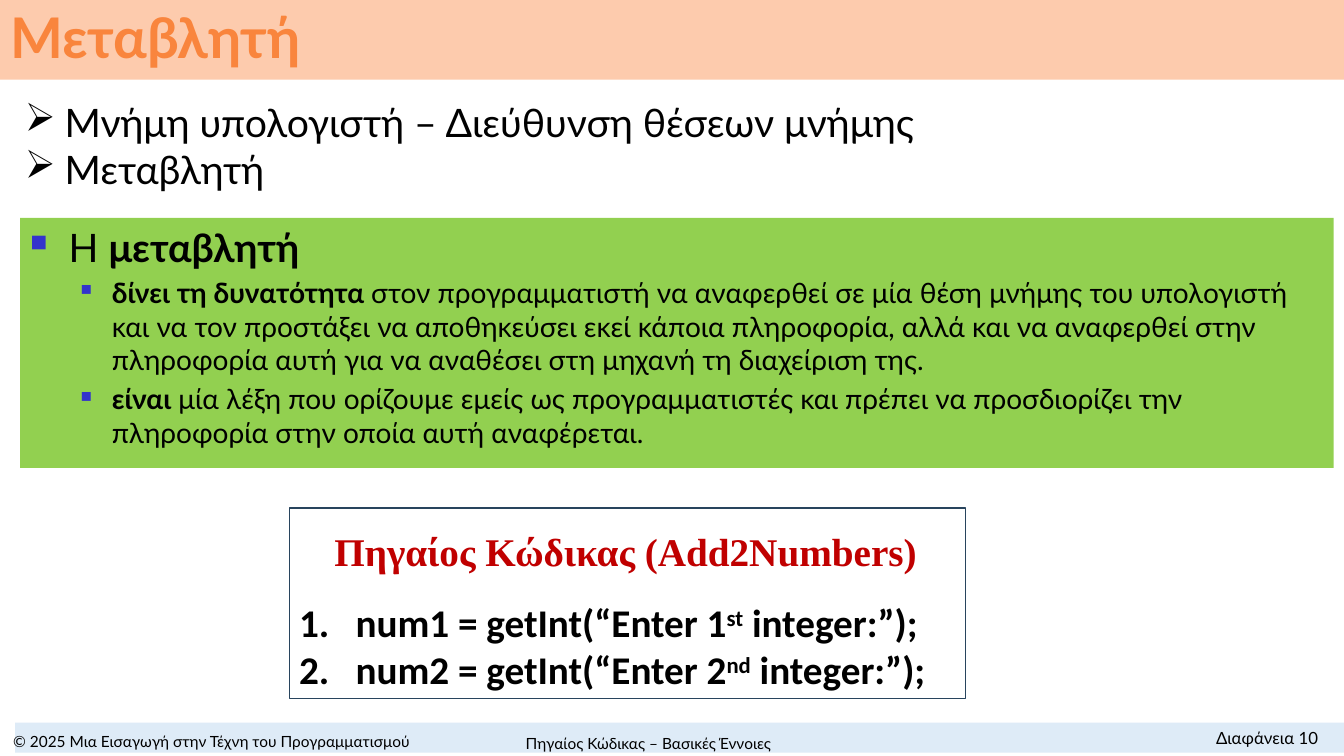
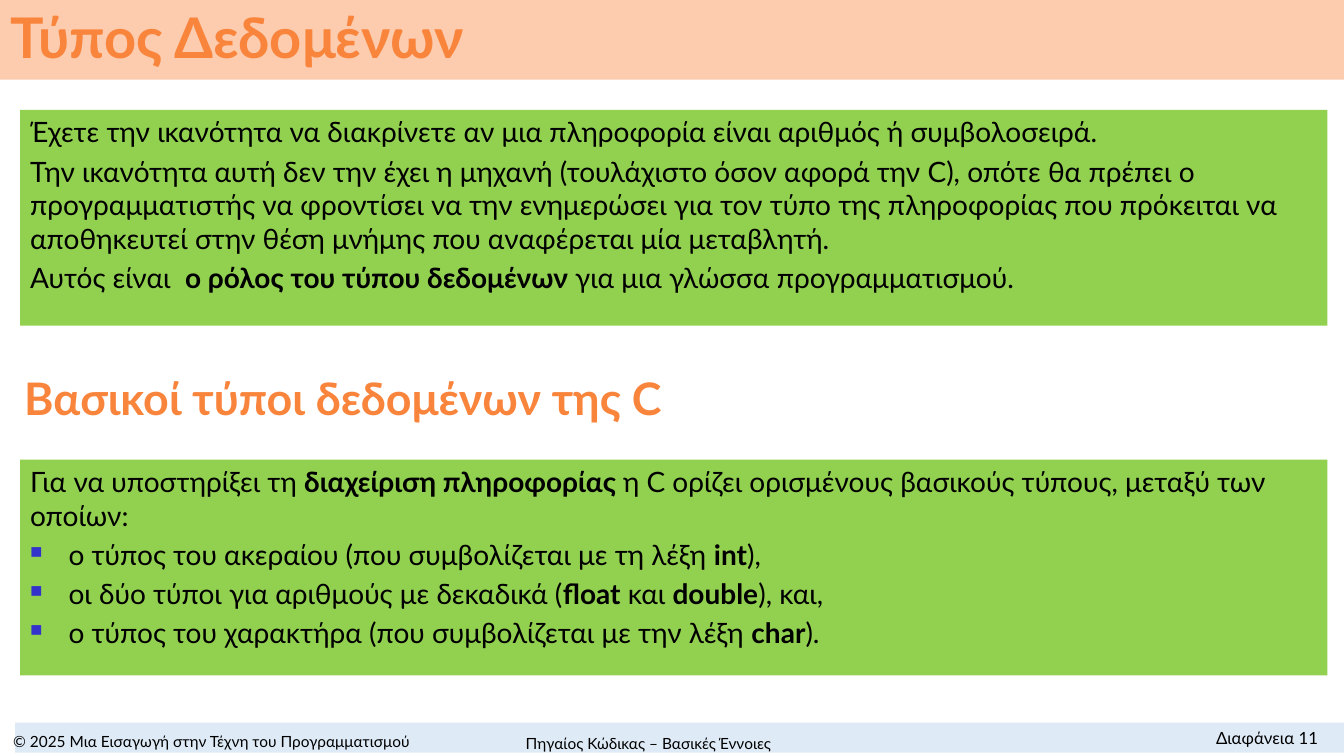
from dataclasses import dataclass

from lxml.etree import SubElement
from pptx import Presentation
from pptx.dml.color import RGBColor
from pptx.enum.shapes import MSO_SHAPE
from pptx.enum.text import MSO_ANCHOR, PP_ALIGN
from pptx.oxml.ns import qn
from pptx.util import Cm, Pt


@dataclass(frozen=True)
class Theme:
    """Colours, fonts and type sizes of the deck."""
    ink: str = "000000"
    orange: str = "F9853D"
    peach: str = "FDCBAD"
    green: str = "92D050"
    pale: str = "DEEBF7"
    white: str = "FFFFFF"
    navy: str = "28445D"
    red: str = "C00000"
    blue: str = "3333CC"
    sans: str = "Lato"
    serif: str = "Times New Roman"
    code: str = "Calibri"
    title: int = 40
    head: int = 32
    large: int = 28
    body: int = 20
    page: int = 12
    small: int = 11


@dataclass(frozen=True)
class Mark:
    """A list marker with its indents in centimetres."""
    sign: str = ""
    left: float = 0.97
    hang: float = 0.97
    scale: int = 100
    color: str = ""
    level: int = 0


T = Theme()
ARROW = Mark("➢", 1, 1)
SQUARE = Mark("■", scale=60, color=T.blue)
SUB = Mark("■", 2.06, 0.79, 55, T.blue, 1)
NUMBER = Mark("", 1.42, 1.42)
BOLD, RAISED = "bold", "raised"


def put(item, values):
    """Set each attribute in a dict of format values."""
    for name, value in values.items():
        setattr(item, name, value)


def bullet(par, mark):
    """Give a paragraph a list marker and hanging indent."""
    par.level = mark.level
    props = par._p.get_or_add_pPr()
    props.set("marL", str(Cm(mark.left)))
    props.set("indent", str(-Cm(mark.hang)))
    if mark.color:
        SubElement(SubElement(props, qn("a:buClr")), qn("a:srgbClr"), val=mark.color)
    if mark.scale != 100:
        SubElement(props, qn("a:buSzPct"), val=str(mark.scale * 1000))
    if mark.sign:
        SubElement(props, qn("a:buChar"), char=mark.sign)
    else:
        SubElement(props, qn("a:buAutoNum"), type="arabicPeriod")


def write(shape, lines, size=T.body, font=T.sans, color=T.ink, bold=None,
          accent=BOLD, gap=0, anchor=MSO_ANCHOR.TOP, align=PP_ALIGN.LEFT, pitch=None):
    """Fill a shape with (text, mark, size) lines; bars enclose accents."""
    frame = shape.text_frame
    put(frame, {"word_wrap": True, "vertical_anchor": anchor})
    for row, (text, mark, own) in enumerate(lines):
        par = frame.add_paragraph() if row else frame.paragraphs[0]
        if mark:
            bullet(par, mark)
        put(par, {"alignment": align, "line_spacing": pitch,
                  "space_before": Pt(gap if row else 0)})
        for part, piece in enumerate(text.split("|")):
            if not piece:
                continue
            run, odd = par.add_run(), part % 2 == 1
            run.text = piece
            put(run.font, {"size": Pt(own or size), "name": font,
                           "bold": True if odd and accent == BOLD else bold})
            run.font.color.rgb = RGBColor.from_string(color)
            if odd and accent == RAISED:
                run._r.get_or_add_rPr().set("baseline", "30000")


def line(text, mark=None, size=None):
    """Describe one paragraph."""
    return text, mark, size


def paint(shape, fill):
    """Fill a shape with a solid colour."""
    shape.fill.solid()
    shape.fill.fore_color.rgb = RGBColor.from_string(fill)


def panel(shapes, place, fill, edge=None):
    """Add a flat rectangle."""
    shape = shapes.add_shape(MSO_SHAPE.RECTANGLE, *map(Cm, place))
    shape.shadow.inherit = False
    paint(shape, fill)
    if edge:
        shape.line.color.rgb = RGBColor.from_string(edge)
        shape.line.width = Pt(1)
    else:
        shape.line.fill.background()
    return shape


def label(shapes, place, lines, **look):
    """Add a text box."""
    write(shapes.add_textbox(*map(Cm, place)), lines, **look)


def card(slide, top, width, height, lines):
    """Add a green panel of body text."""
    shape = panel(slide.shapes, (0.51, top, width, height), T.green)
    write(shape, lines, gap=4)


def start(deck, title, page):
    """Add a slide with the shared title band and footer."""
    slide = deck.slides.add_slide(deck.slide_layouts[5])
    head = slide.shapes.title
    put(head, dict(zip(("left", "top", "width", "height"),
                       map(Cm, (0, 0, 33.87, 2.01)))))
    paint(head, T.peach)
    write(head, [line(title)], T.title, color=T.orange, bold=True,
          anchor=MSO_ANCHOR.MIDDLE, pitch=0.9)
    panel(slide.shapes, (0.38, 18.21, 33.49, 0.76), T.pale)
    notes = (
        ((0, 18.34, 10.67, 0.66), "© 2025 Μια Εισαγωγή στην Τέχνη του Προγραμματισμού",
         T.small, PP_ALIGN.CENTER),
        ((28.24, 18.21, 5.23, 0.76), f"Διαφάνεια {page}", T.page, PP_ALIGN.RIGHT),
        ((11.53, 18.37, 9.63, 0.71), "Πηγαίος Κώδικας – Βασικές Έννοιες",
         T.small, PP_ALIGN.CENTER),
    )
    for place, text, size, align in notes:
        label(slide.shapes, place, [line(text)], size=size, align=align,
              anchor=MSO_ANCHOR.MIDDLE)
    return slide


def listing(slide):
    """Add the framed source code."""
    group = slide.shapes.add_group_shape().shapes
    panel(group, (7.29, 12.8, 17.04, 4.8), T.white, T.navy)
    label(group, (6.81, 13.16, 17.91, 1.45), [line("Πηγαίος Κώδικας (Add2Numbers)")],
          size=T.large, font=T.serif, color=T.red, bold=True, align=PP_ALIGN.CENTER)
    label(group, (7.29, 14.96, 17.04, 2.64), [
        line("num1 = getInt(“Enter 1|st| integer:”);", NUMBER),
        line("num2 = getInt(“Enter 2|nd| integer:”);", NUMBER),
    ], size=T.large, font=T.code, bold=True, accent=RAISED)


def main():
    """Build and save the deck."""
    deck = Presentation()
    put(deck, {"slide_width": Cm(33.87), "slide_height": Cm(19.05)})

    slide = start(deck, "Μεταβλητή", 10)
    label(slide.shapes, (0.38, 2.36, 33.1, 2.64), [
        line("Μνήμη υπολογιστή – Διεύθυνση θέσεων μνήμης", ARROW),
        line("Μεταβλητή", ARROW),
    ], size=T.large)
    listing(slide)
    card(slide, 5.49, 33.1, 6.3, [
        line("Η |μεταβλητή|", SQUARE, T.large),
        line("|δίνει τη δυνατότητα |στον προγραμματιστή να αναφερθεί σε μία θέση "
             "μνήμης του υπολογιστή και να τον προστάξει να αποθηκεύσει εκεί κάποια "
             "πληροφορία, αλλά και να αναφερθεί στην πληροφορία αυτή για να αναθέσει "
             "στη μηχανή τη διαχείριση της.", SUB),
        line("|είναι| μία λέξη που ορίζουμε εμείς ως προγραμματιστές και πρέπει να "
             "προσδιορίζει την πληροφορία στην οποία αυτή αναφέρεται.", SUB),
    ])

    slide = start(deck, "Τύπος Δεδομένων", 11)
    card(slide, 2.77, 32.94, 5.44, [
        line("Έχετε την ικανότητα να διακρίνετε αν μια πληροφορία είναι αριθμός ή "
             "συμβολοσειρά."),
        line("Την ικανότητα αυτή δεν την έχει η μηχανή (τουλάχιστο όσον αφορά την C), "
             "οπότε θα πρέπει ο προγραμματιστής να φροντίσει να την ενημερώσει για "
             "τον τύπο της πληροφορίας που πρόκειται να αποθηκευτεί στην θέση μνήμης "
             "που αναφέρεται μία μεταβλητή."),
        line("Αυτός είναι  |ο ρόλος του τύπου δεδομένων |για μια γλώσσα "
             "προγραμματισμού."),
    ])
    label(slide.shapes, (0.36, 9.22, 20.62, 1.63), [line("Βασικοί τύποι δεδομένων της C")],
          size=T.head, color=T.orange, bold=True)
    card(slide, 11.58, 32.94, 5.44, [
        line("Για να υποστηρίξει τη |διαχείριση πληροφορίας |η C ορίζει ορισμένους "
             "βασικούς τύπους, μεταξύ των οποίων:"),
        line("ο τύπος του ακεραίου (που συμβολίζεται με τη λέξη |int|),", SQUARE),
        line("οι δύο τύποι για αριθμούς με δεκαδικά (|float| και |double|), και,", SQUARE),
        line("ο τύπος του χαρακτήρα (που συμβολίζεται με την λέξη |char|).", SQUARE),
    ])
    deck.save("out.pptx")


if __name__ == "__main__":
    main()
